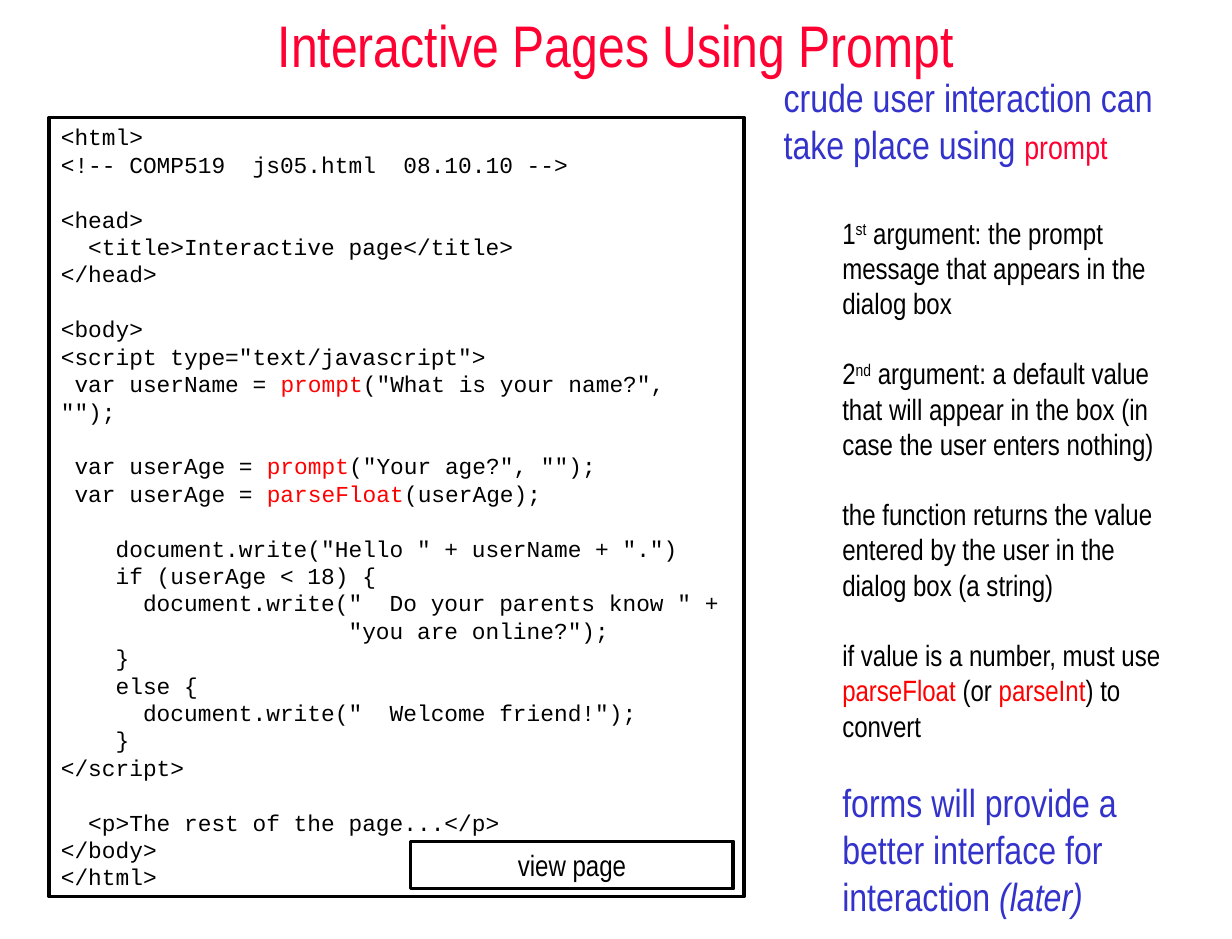
from dataclasses import dataclass

from pptx import Presentation
from pptx.dml.color import RGBColor
from pptx.enum.shapes import MSO_SHAPE
from pptx.enum.text import MSO_ANCHOR, PP_ALIGN
from pptx.util import Pt


@dataclass(frozen=True)
class Theme:
    narrow: str = "Arial Narrow"
    mono: str = "Courier New"
    title: int = 36
    lead: int = 24
    keyword: int = 20
    body: int = 18
    code: int = 14
    leading: float = 1.2
    border: float = 2.25
    black: str = "000000"
    blue: str = "3333CC"
    crimson: str = "FF0033"
    red: str = "FF0000"


THEME = Theme()

# Content: marked words are given as (text, style) pairs
TITLE = "Interactive Pages Using Prompt"
BUTTON = "view page"
RED = {"color": THEME.red}
RAISED = {"raised": True}

# Each block of code is set off by one line of space
CODE_BLOCKS = [
    [["<html>"], ["<!-- COMP519  js05.html  08.10.10 -->"]],
    [["<head>"], ["  <title>Interactive page</title>"], ["</head>"]],
    [
        ["<body>"],
        ['<script type="text/javascript">'],
        [" var userName = ", ("prompt", RED), '("What is your name?", "");'],
    ],
    [
        [" var userAge = ", ("prompt", RED), '("Your age?", "");'],
        [" var userAge = ", ("parseFloat", RED), "(userAge);"],
    ],
    [
        ['    document.write("Hello " + userName + ".")'],
        ["    if (userAge < 18) {"],
        ['      document.write("  Do your parents know " +'],
        ['                     "you are online?");'],
        ["    }"],
        ["    else {"],
        ['      document.write("  Welcome friend!");'],
        ["    }"],
        ["</script>"],
    ],
    [["  <p>The rest of the page...</p>"], ["</body>"], ["</html>"]],
]

LEAD = ["crude user interaction can take place using ",
        ("prompt", {"color": THEME.crimson, "size": THEME.keyword})]
POINTS = [
    ["1", ("st", RAISED),
     " argument: the prompt message that appears in the dialog box"],
    ["2", ("nd", RAISED),
     " argument: a default value that will appear in the box "
     "(in case the user enters nothing)"],
    ["the function returns the value entered by the user in the dialog box (a string)"],
    ["if value is a number, must use ", ("parseFloat", RED), " (or ",
     ("parseInt", RED), ") to convert"],
]
CLOSING = ["forms will provide a better interface for interaction ",
           ("(later)", {"italic": True})]

# Places: left, top, width, height in points
SLIDE_SIZE = (756, 576)
TITLE_AREA = (0, 0, 756, 54)
CODE_AREA = (30.24, 72, 426.24, 478)
NOTES_AREA = (473.76, 41.76, 257.76, 530)
BUTTON_AREA = (252, 516.24, 198, 28.8)
POINT_INDENT = 36


def line_height(size):
    return size * THEME.leading


def prepare(frame, anchor=MSO_ANCHOR.TOP):
    frame.word_wrap = True
    frame.vertical_anchor = anchor
    return frame


def add_text(slide, area, anchor=MSO_ANCHOR.TOP):
    return prepare(slide.shapes.add_textbox(*map(Pt, area)).text_frame, anchor)


def add_box(slide, area):
    box = slide.shapes.add_shape(MSO_SHAPE.RECTANGLE, *map(Pt, area))
    box.shadow.inherit = False
    box.fill.background()
    box.line.color.rgb = RGBColor.from_string(THEME.black)
    box.line.width = Pt(THEME.border)
    return prepare(box.text_frame)


def write(paragraph, parts, font, size, color=THEME.black,
          align=PP_ALIGN.LEFT, before=0, indent=0):
    paragraph.alignment = align
    paragraph.line_spacing = Pt(line_height(size))
    paragraph.space_before = Pt(before)
    if indent:
        properties = paragraph._p.get_or_add_pPr()
        properties.set("marL", str(Pt(indent)))
        properties.set("indent", "0")
    for part in parts:
        words, style = part if isinstance(part, tuple) else (part, {})
        run = paragraph.add_run()
        run.text = words
        run.font.name = font
        run.font.size = Pt(style.get("size", size))
        run.font.color.rgb = RGBColor.from_string(style.get("color", color))
        if style.get("italic"):
            run.font.italic = True
        if style.get("raised"):
            run.font._element.set("baseline", "30000")


def main():
    presentation = Presentation()
    presentation.slide_width, presentation.slide_height = map(Pt, SLIDE_SIZE)
    slide = presentation.slides.add_slide(presentation.slide_layouts[6])

    # Title
    title = add_text(slide, TITLE_AREA, MSO_ANCHOR.MIDDLE)
    write(title.paragraphs[0], [TITLE], THEME.narrow, THEME.title,
          THEME.crimson, PP_ALIGN.CENTER)

    # Code listing
    listing = add_box(slide, CODE_AREA)
    paragraph = listing.paragraphs[0]
    for block_number, block in enumerate(CODE_BLOCKS):
        for line_number, parts in enumerate(block):
            opens_block = block_number and not line_number
            if block_number or line_number:
                paragraph = listing.add_paragraph()
            write(paragraph, parts, THEME.mono, THEME.code,
                  before=line_height(THEME.code) if opens_block else 0)

    # Notes beside the code
    notes = add_text(slide, NOTES_AREA)
    write(notes.paragraphs[0], LEAD, THEME.narrow, THEME.lead, THEME.blue)
    gap = line_height(THEME.lead)
    for point in POINTS:
        write(notes.add_paragraph(), point, THEME.narrow, THEME.body,
              before=gap, indent=POINT_INDENT)
        gap = line_height(THEME.body)
    write(notes.add_paragraph(), CLOSING, THEME.narrow, THEME.lead, THEME.blue,
          before=gap, indent=POINT_INDENT)

    # Button
    button = add_box(slide, BUTTON_AREA)
    write(button.paragraphs[0], [BUTTON], THEME.narrow, THEME.body,
          align=PP_ALIGN.CENTER)

    presentation.save("out.pptx")


if __name__ == "__main__":
    main()
